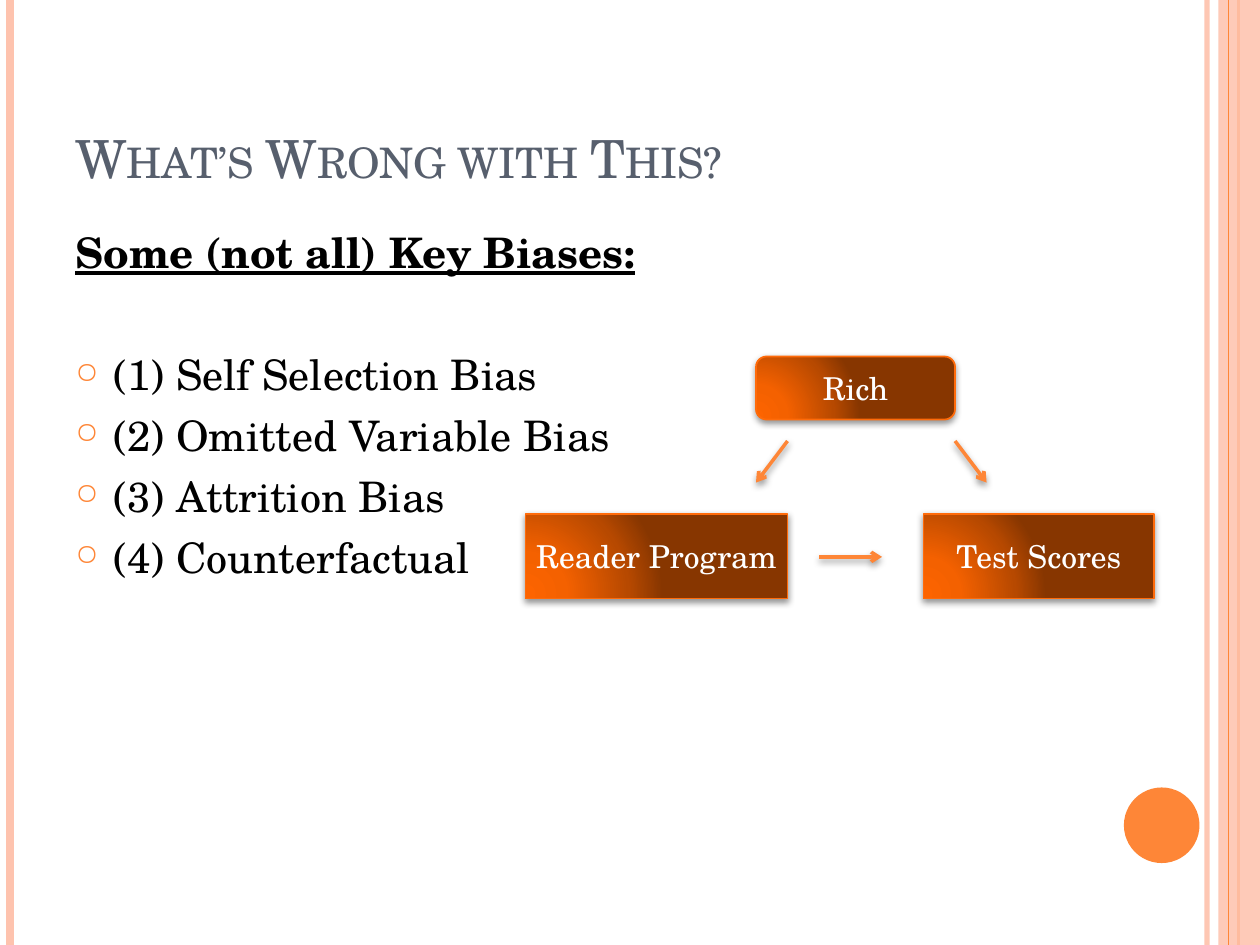
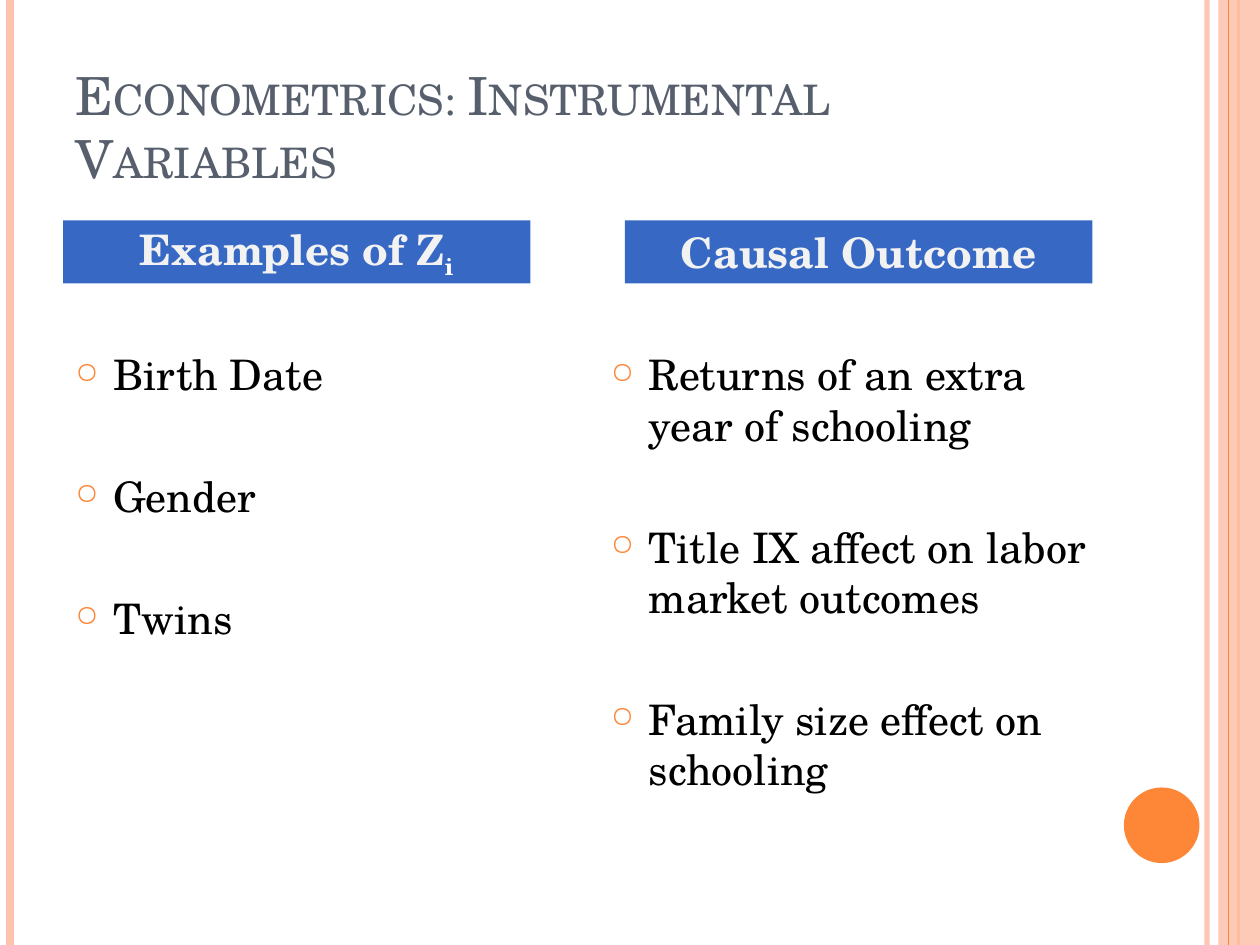
from lxml import etree
from pptx import Presentation
from pptx.dml.color import RGBColor
from pptx.enum.shapes import MSO_CONNECTOR, MSO_SHAPE
from pptx.enum.text import MSO_ANCHOR, PP_ALIGN
from pptx.oxml.ns import qn
from pptx.util import Inches, Pt

STRAIGHT = MSO_CONNECTOR.STRAIGHT
RECTANGLE = MSO_SHAPE.RECTANGLE
ROUNDED = MSO_SHAPE.ROUNDED_RECTANGLE
OVAL = MSO_SHAPE.OVAL
LEFT, CENTER = PP_ALIGN.LEFT, PP_ALIGN.CENTER
TOP, MIDDLE, BOTTOM = MSO_ANCHOR.TOP, MSO_ANCHOR.MIDDLE, MSO_ANCHOR.BOTTOM

FONT = "TeX Gyre Schola"
ORANGE, PEACH, SLATE, BLUE = "FE8637", "FEC3AE", "575F6D", "3668C4"
BLACK, WHITE, PALE, BOX_EDGE = "000000", "FFFFFF", "F2F2F2", "FF6B0A"
BOX_GRADIENT = [(0, "FD6400"), (30, "F46100"), (75, "B74900"), (100, "873600")]
GRADIENT_CENTER = {"l": 5, "t": 100, "r": 120, "b": 10}
WIDTH, HEIGHT = 10, 7.5
MARGIN, TEXT_TOP, TEXT_WIDTH = 0.5, 1.75, 8.17
BULLET_TOP = 2.72
BULLET_GAP, WIDE_GAP = 6, 40.86


def rgb(color):
    return RGBColor.from_string(color)


def add_xml(parent, tag, **attributes):
    values = {name: str(value) for name, value in attributes.items()}
    return etree.SubElement(parent, qn(tag), values)


def add_xml_color(parent, color, opacity=100):
    element = add_xml(parent, "a:srgbClr", val=color)
    if opacity < 100:
        add_xml(element, "a:alpha", val=opacity * 1000)


def set_opacity(properties, opacity):
    color = properties.find(qn("a:solidFill")).find(qn("a:srgbClr"))
    add_xml(color, "a:alpha", val=opacity * 1000)


def add_shadow(effects, opacity, distance):
    shadow = add_xml(effects, "a:outerShdw", blurRad=Pt(4), dist=Pt(distance),
                     dir=5400000, rotWithShape=0)
    add_xml_color(shadow, BLACK, opacity)


class Deck:
    def __init__(self):
        self.presentation = Presentation()
        self.presentation.slide_width = Inches(WIDTH)
        self.presentation.slide_height = Inches(HEIGHT)
        self.slide = None

    def new_slide(self, title):
        layout = self.presentation.slide_layouts[6]
        self.slide = self.presentation.slides.add_slide(layout)
        self.line((9.58, 0), (9.58, HEIGHT), PEACH, 3, opacity=93)
        self.line((0.08, 0), (0.08, HEIGHT), PEACH, 4.5)
        self.line((9.83, 0), (9.83, HEIGHT), ORANGE, 1.5)
        band = self.shape(RECTANGLE, 9.67, 0, 0.33, HEIGHT, PEACH)
        set_opacity(band._element.spPr, 87)
        self.line((9.75, 0), (9.75, HEIGHT), ORANGE, 0.75)
        self.shape(OVAL, 8.92, 6.25, 0.6, 0.6, ORANGE)
        frame = self.text_box(MARGIN, 0.3, TEXT_WIDTH, 1.25, BOTTOM)
        run = self.run(frame.paragraphs[0], title, 30, SLATE)
        run.font._element.set("cap", "small")

    def line(self, start, end, color, weight, opacity=100):
        points = [Inches(value) for value in (*start, *end)]
        connector = self.slide.shapes.add_connector(STRAIGHT, *points)
        connector.line.color.rgb = rgb(color)
        connector.line.width = Pt(weight)
        properties = connector._element.spPr
        if opacity < 100:
            set_opacity(properties.find(qn("a:ln")), opacity)
        add_xml(properties, "a:effectLst")
        return connector

    def arrow(self, start, end):
        properties = self.line(start, end, ORANGE, 2)._element.spPr
        add_xml(properties.find(qn("a:ln")), "a:tailEnd", type="arrow")
        add_shadow(properties.find(qn("a:effectLst")), 40, 2)

    def shape(self, kind, left, top, width, height, color):
        place = [Inches(value) for value in (left, top, width, height)]
        shape = self.slide.shapes.add_shape(kind, *place)
        shape.shadow.inherit = False
        shape.fill.solid()
        shape.fill.fore_color.rgb = rgb(color)
        shape.line.fill.background()
        return shape

    def text_box(self, left, top, width, height, anchor=TOP):
        place = [Inches(value) for value in (left, top, width, height)]
        frame = self.slide.shapes.add_textbox(*place).text_frame
        frame.word_wrap = True
        frame.vertical_anchor = anchor
        return frame

    def run(self, paragraph, text, size, color, bold=False):
        run = paragraph.add_run()
        run.text = text
        run.font.name = FONT
        run.font.size = Pt(size)
        run.font.bold = bold
        run.font.color.rgb = rgb(color)
        return run

    def centered(self, shape, text, size, color, bold=False):
        frame = shape.text_frame
        frame.word_wrap = True
        frame.vertical_anchor = MIDDLE
        frame.margin_left = frame.margin_right = Inches(0.05)
        paragraph = frame.paragraphs[0]
        paragraph.alignment = CENTER
        self.run(paragraph, text, size, color, bold)
        return paragraph

    def bullets(self, left, width, items, gap):
        frame = self.text_box(left, BULLET_TOP, width, 4.36)
        for index, item in enumerate(items):
            paragraph = frame.add_paragraph() if index else frame.paragraphs[0]
            paragraph.alignment = LEFT
            paragraph.space_before = Pt(gap if index else 0)
            properties = paragraph._p.get_or_add_pPr()
            properties.set("marL", str(Inches(0.3)))
            properties.set("indent", str(Inches(-0.3)))
            add_xml_color(add_xml(properties, "a:buClr"), ORANGE)
            add_xml(properties, "a:buSzPct", val=70000)
            add_xml(properties, "a:buChar", char="○")
            self.run(paragraph, item, 24, BLACK)

    def diagram_box(self, kind, left, top, width, height, text):
        shape = self.shape(kind, left, top, width, height, BOX_EDGE)
        shape.line.color.rgb = rgb(BOX_EDGE)
        shape.line.width = Pt(1)
        properties = shape._element.spPr
        gradient = etree.Element(qn("a:gradFill"), rotWithShape="1")
        stops = add_xml(gradient, "a:gsLst")
        for position, color in BOX_GRADIENT:
            add_xml_color(add_xml(stops, "a:gs", pos=position * 1000), color)
        circle = add_xml(gradient, "a:path", path="circle")
        add_xml(circle, "a:fillToRect",
                **{side: value * 1000 for side, value in GRADIENT_CENTER.items()})
        properties.replace(properties.find(qn("a:solidFill")), gradient)
        add_shadow(properties.find(qn("a:effectLst")), 42, 1.6)
        self.centered(shape, text, 18, WHITE)

    def column_header(self, left, text):
        header = self.shape(RECTANGLE, left, TEXT_TOP, 3.71, 0.5, BLUE)
        return self.centered(header, text, 24, PALE, bold=True)


def build_biases(deck):
    deck.new_slide("What’s Wrong with This?")
    frame = deck.text_box(MARGIN, TEXT_TOP, TEXT_WIDTH, 0.5)
    heading = deck.run(frame.paragraphs[0], "Some (not all) Key Biases:", 24, BLACK, True)
    heading.font.underline = True
    biases = ["(1) Self Selection Bias", "(2) Omitted Variable Bias",
              "(3) Attrition Bias", "(4) Counterfactual"]
    deck.bullets(MARGIN, TEXT_WIDTH, biases, BULLET_GAP)
    deck.diagram_box(ROUNDED, 6, 2.83, 1.58, 0.5, "Rich")
    deck.diagram_box(RECTANGLE, 4.17, 4.08, 2.08, 0.67, "Reader Program")
    deck.diagram_box(RECTANGLE, 7.33, 4.08, 1.83, 0.67, "Test Scores")
    deck.arrow((7.58, 3.5), (7.83, 3.83))
    deck.arrow((6.25, 3.5), (6, 3.83))
    deck.arrow((6.5, 4.42), (7, 4.42))


def build_instruments(deck):
    deck.new_slide("Econometrics: Instrumental Variables")
    examples = deck.column_header(MARGIN, "Examples of Z")
    subscript = deck.run(examples, "i", 24, WHITE, bold=True)
    subscript.font._element.set("baseline", "-25000")
    deck.column_header(4.96, "Causal Outcome")
    deck.bullets(MARGIN, 4.08, ["Birth Date", "Gender", "Twins"], WIDE_GAP)
    outcomes = ["Returns of an extra year of schooling",
                "Title IX affect on labor market outcomes",
                "Family size effect on schooling"]
    deck.bullets(4.75, 4.08, outcomes, WIDE_GAP)


def main():
    deck = Deck()
    build_biases(deck)
    build_instruments(deck)
    deck.presentation.save("out.pptx")


if __name__ == "__main__":
    main()
